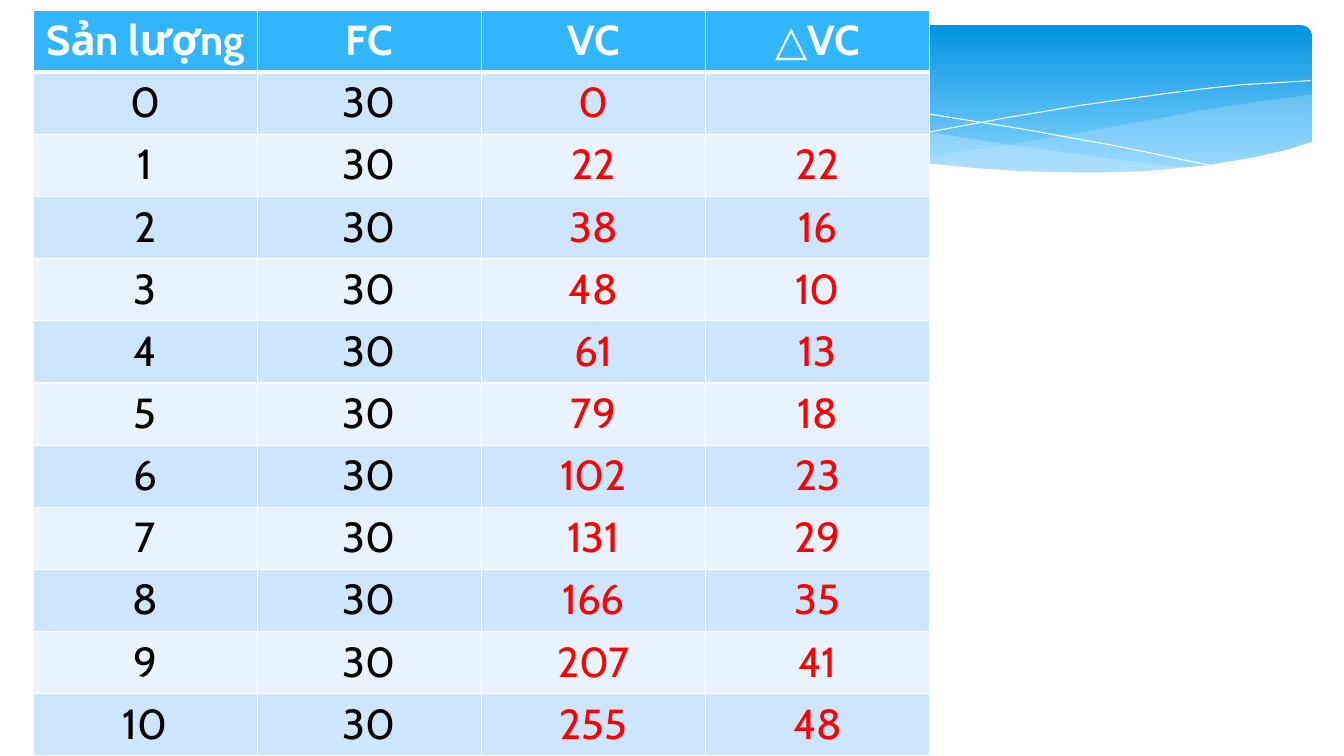
from dataclasses import dataclass
from typing import Optional

from lxml.etree import SubElement
from pptx import Presentation
from pptx.dml.color import RGBColor
from pptx.enum.shapes import MSO_SHAPE
from pptx.enum.text import PP_ALIGN
from pptx.oxml.ns import qn
from pptx.shapes.shapetree import SlideShapes
from pptx.table import _Cell
from pptx.util import Inches, Pt

WHITE = RGBColor(0xFF, 0xFF, 0xFF)
BLACK = RGBColor(0x00, 0x00, 0x00)
RED = RGBColor(0xFF, 0x00, 0x00)
HEADER_BLUE = RGBColor(0x31, 0xB6, 0xFD)
BAND_DARK = RGBColor(0xCE, 0xE5, 0xFE)
BAND_LIGHT = RGBColor(0xE8, 0xF3, 0xFF)
BANNER_TOP = RGBColor(0x02, 0x93, 0xE0)
BANNER_BOTTOM = RGBColor(0x83, 0xD3, 0xFE)
WAVE_BLUE = RGBColor(0xC6, 0xE7, 0xFC)

FONT = "Cabin"
HEADERS = ["Sản lượng", "FC", "VC", "△VC"]
FIXED_COST = 30
VARIABLE_COSTS = [0, 22, 38, 48, 61, 79, 102, 131, 166, 207, 255]
COLUMN_COLORS = [BLACK, BLACK, RED, RED]


@dataclass(frozen=True)
class Wave:
    """A filled area, or an open white curve when fill is None."""
    points: list[tuple[float, float]]
    fill: Optional[RGBColor] = None
    opacity: int = 100


WAVES = [
    Wave([(13, 0.94), (12.46, 1.01), (11.88, 1.1), (11.47, 1.18), (10.73, 1.31),
          (10.05, 1.43), (9.41, 1.52), (8.82, 1.6), (9.4, 1.65), (9.93, 1.69),
          (10.41, 1.72), (10.99, 1.72), (11.51, 1.7), (11.96, 1.65), (12.38, 1.58),
          (12.66, 1.52), (13.01, 1.42), (13.01, 0.94)], WAVE_BLUE, 29),
    Wave([(11.9, 1.67), (11.54, 1.64), (10.76, 1.54), (9.89, 1.42), (8.91, 1.26),
          (8.39, 1.16), (7.78, 1.06), (7.21, 0.97), (6.69, 0.9), (6.19, 0.86),
          (5.6, 0.82), (5.06, 0.8), (4.59, 0.8), (4.18, 0.82), (3.82, 0.86),
          (4.31, 0.9), (4.83, 0.97), (5.39, 1.06), (5.99, 1.16), (7.06, 1.35),
          (7.79, 1.46), (8.46, 1.56), (9.07, 1.63), (9.63, 1.68), (10.14, 1.71),
          (10.61, 1.73), (11.04, 1.73), (11.43, 1.71)], WAVE_BLUE, 40),
    Wave([(4.12, 0.9), (4.38, 0.86), (4.7, 0.84), (5.16, 0.82), (5.55, 0.81),
          (6, 0.82), (6.52, 0.84), (7.1, 0.88), (7.75, 0.94), (8.48, 1.03),
          (9.27, 1.14), (10.14, 1.28), (11.08, 1.45), (12.1, 1.66)]),
    Wave([(8.18, 1.51), (8.7, 1.41), (9.27, 1.3), (9.97, 1.17), (10.75, 1.04),
          (11.55, 0.93), (11.94, 0.88), (12.32, 0.84), (12.67, 0.82), (13, 0.8)]),
    Wave([(13.03, 1.4), (12.79, 1.48), (12.54, 1.54), (12.27, 1.59), (11.98, 1.64),
          (11.67, 1.67), (11.34, 1.7), (10.97, 1.71), (10.58, 1.71), (10.15, 1.7),
          (9.69, 1.67), (9.18, 1.62), (8.63, 1.56), (8.04, 1.49), (7.4, 1.39),
          (6.71, 1.28), (5.96, 1.14), (5.21, 1.02), (4.53, 0.92), (3.9, 0.85),
          (3.33, 0.81), (2.82, 0.78), (2.35, 0.78), (1.94, 0.79), (1.58, 0.82),
          (1.27, 0.85), (1.01, 0.89), (0.79, 0.93), (0.61, 0.98), (0.31, 1.07),
          (0.31, 2.24), (13.03, 2.24)], WHITE),
]


def add_banner(shapes: SlideShapes) -> None:
    banner = shapes.add_shape(MSO_SHAPE.ROUNDED_RECTANGLE, Inches(0.33), Inches(0.25),
                              Inches(12.68), Inches(1.56))
    banner.adjustments[0] = 0.07
    banner.shadow.inherit = False
    banner.line.fill.background()
    banner.fill.gradient()
    banner.fill.gradient_angle = 270
    top, bottom = banner.fill.gradient_stops
    top.color.rgb, top.position = BANNER_TOP, 0
    bottom.color.rgb, bottom.position = BANNER_BOTTOM, 0.9


def add_wave(shapes: SlideShapes, wave: Wave) -> None:
    start, *others = [(Inches(x), Inches(y)) for x, y in wave.points]
    builder = shapes.build_freeform(*start)
    builder.add_line_segments(others, close=wave.fill is not None)
    shape = builder.convert_to_shape()
    shape.shadow.inherit = False
    if wave.fill is None:
        shape.fill.background()
        shape.line.color.rgb = WHITE
        shape.line.width = Pt(0)
        return
    shape.line.fill.background()
    shape.fill.solid()
    shape.fill.fore_color.rgb = wave.fill
    if wave.opacity < 100:
        color = shape.fill._xPr.find(f"{qn('a:solidFill')}/{qn('a:srgbClr')}")
        SubElement(color, qn("a:alpha"), val=str(wave.opacity * 1000))


def set_borders(cell: _Cell, top: int, bottom: int) -> None:
    """Draw white borders; widths are in points, the sides are always 1."""
    properties = cell._tc.get_or_add_tcPr()
    for side, width in (("L", 1), ("R", 1), ("T", top), ("B", bottom)):
        line = SubElement(properties, qn(f"a:ln{side}"), w=str(Pt(width)))
        fill = SubElement(line, qn("a:solidFill"))
        SubElement(fill, qn("a:srgbClr"), val=str(WHITE))


def format_cell(cell: _Cell, text: str, row: int, column: int) -> None:
    is_header = row == 0
    set_borders(cell, top=3 if row == 1 else 1, bottom=3 if is_header else 1)
    cell.fill.solid()
    band = BAND_DARK if row % 2 else BAND_LIGHT
    cell.fill.fore_color.rgb = HEADER_BLUE if is_header else band
    cell.text = text
    paragraph = cell.text_frame.paragraphs[0]
    paragraph.alignment = PP_ALIGN.CENTER
    paragraph.font.name = FONT
    paragraph.font.size = Pt(30)
    paragraph.font.bold = is_header
    paragraph.font.color.rgb = WHITE if is_header else COLUMN_COLORS[column]


def cost_rows() -> list[list[str]]:
    """Each row's last value is the rise in variable cost over the row above."""
    rises = [""] + [str(cost - previous)
                    for previous, cost in zip(VARIABLE_COSTS, VARIABLE_COSTS[1:])]
    return [[str(quantity), str(FIXED_COST), str(cost), rise]
            for quantity, (cost, rise) in enumerate(zip(VARIABLE_COSTS, rises))]


def add_cost_table(shapes: SlideShapes) -> None:
    rows = [HEADERS] + cost_rows()
    table = shapes.add_table(len(rows), len(HEADERS), Inches(0.33), Inches(0.1),
                             Inches(8.89), Inches(7.4)).table
    for row, texts in enumerate(rows):
        for column, text in enumerate(texts):
            format_cell(table.cell(row, column), text, row, column)


def main() -> None:
    presentation = Presentation()
    presentation.slide_width = Inches(13.33)
    presentation.slide_height = Inches(7.5)
    slide = presentation.slides.add_slide(presentation.slide_layouts[6])
    add_banner(slide.shapes)
    for wave in WAVES:
        add_wave(slide.shapes, wave)
    add_cost_table(slide.shapes)
    presentation.save("out.pptx")


if __name__ == "__main__":
    main()
